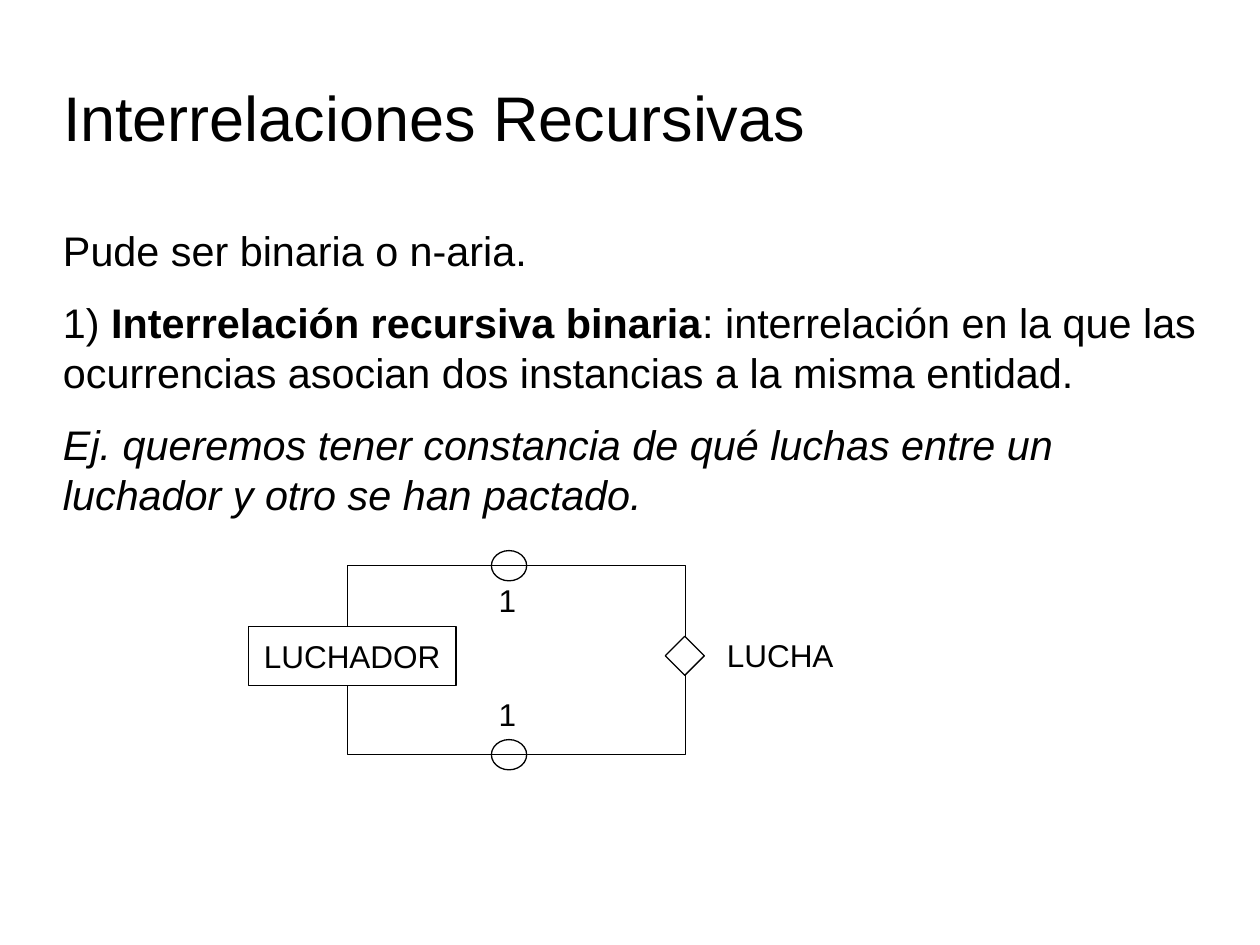
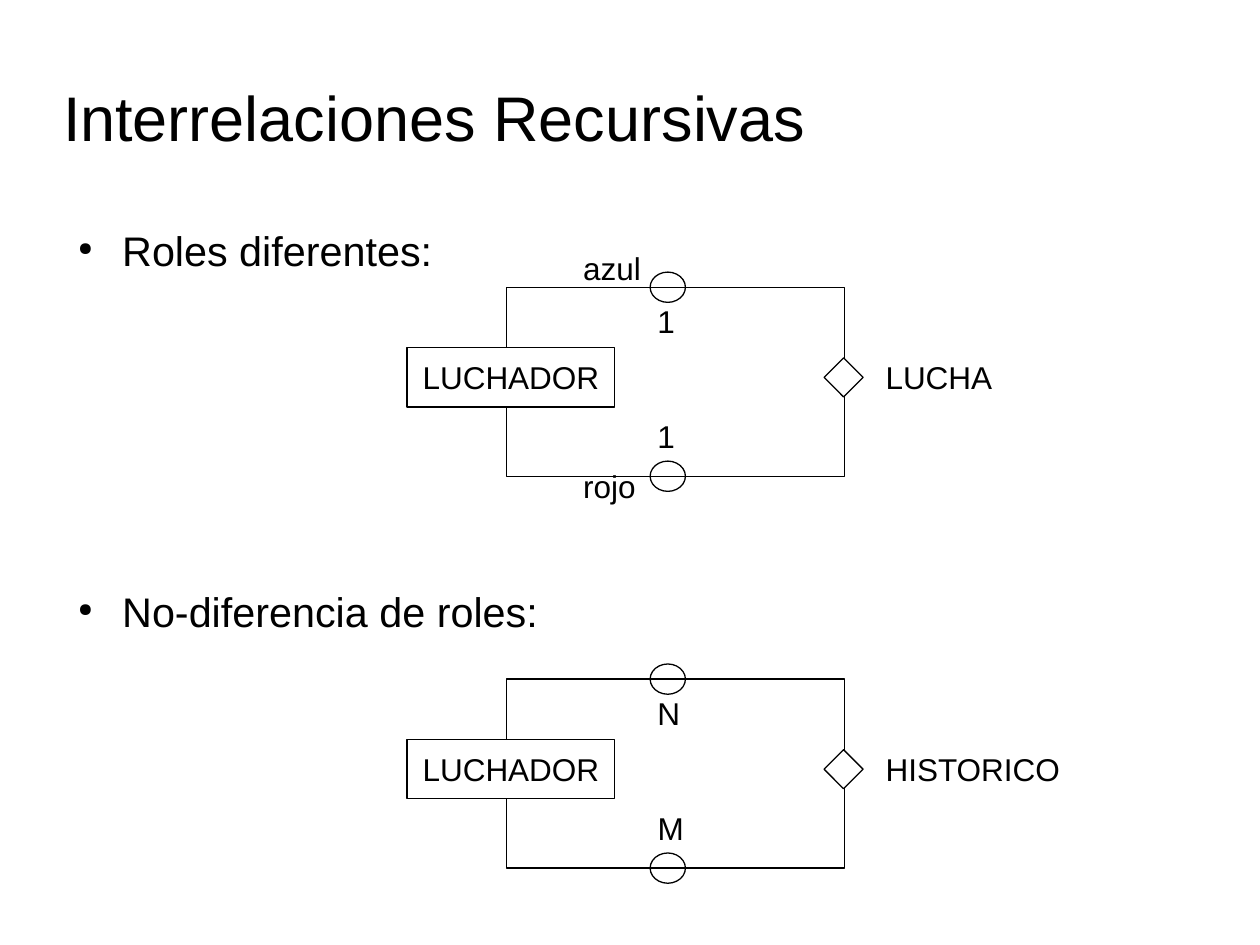
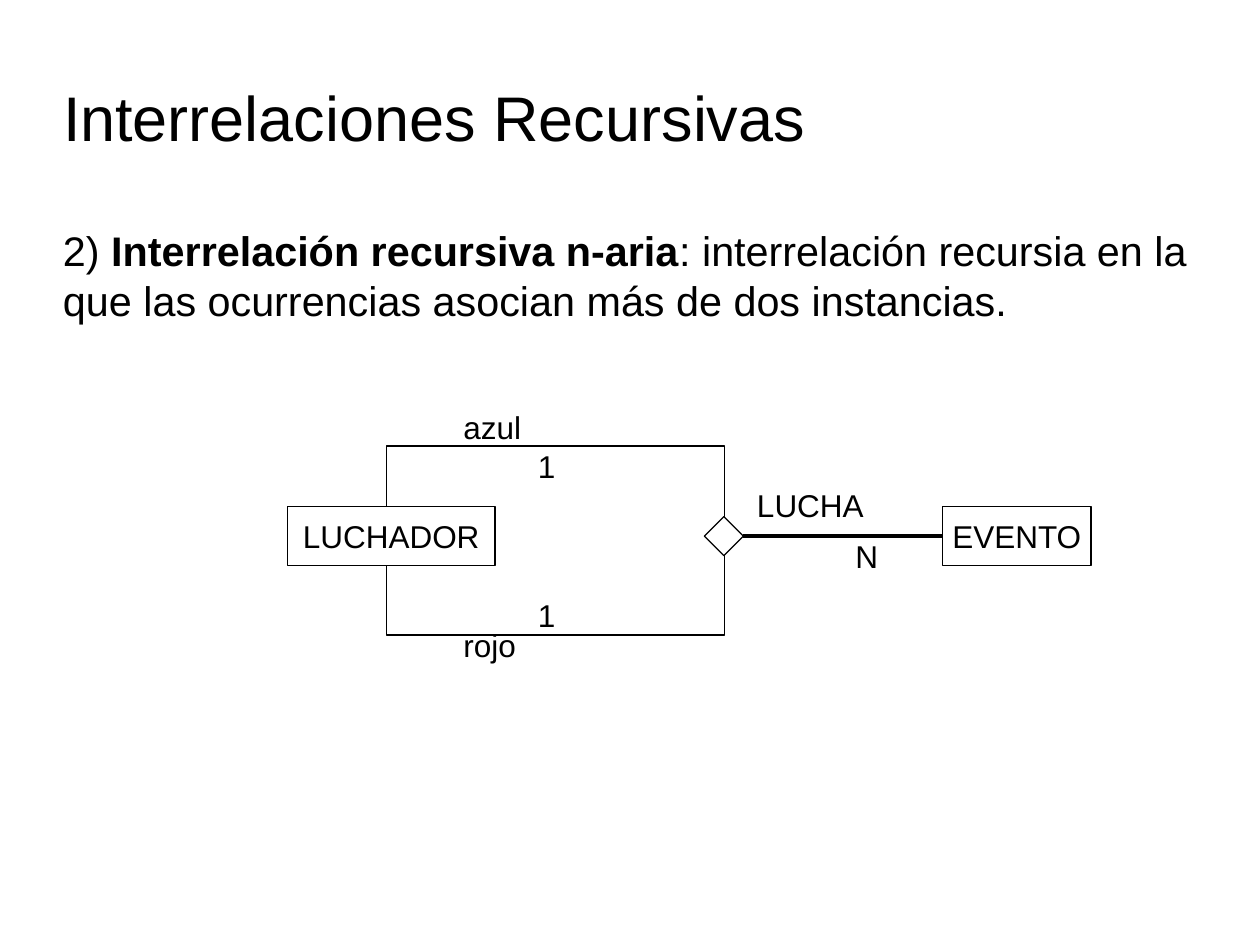
from dataclasses import dataclass
from typing import Any, NamedTuple

from lxml.etree import SubElement
from pptx import Presentation
from pptx.dml.color import RGBColor
from pptx.enum.shapes import MSO_CONNECTOR, MSO_SHAPE
from pptx.enum.text import MSO_ANCHOR, MSO_AUTO_SIZE, PP_ALIGN
from pptx.oxml.ns import qn
from pptx.util import Emu, Pt

SCALE = 9144  # EMU in one px, 100 px to the inch
COLORS = {"ink": "000000", "paper": "FFFFFF"}
FACE = "Arial"
TITLE = "Interrelaciones Recursivas"
WIDTHS = {"LUCHA": 107, "HISTORICO": 159, "azul": 66, "rojo": 63,
          "1": 34, "N": 40, "M": 42}
FLUSH = {f"margin_{side}": 0 for side in ("left", "top", "right", "bottom")}
BOLD = {"bold": True}


class Run(NamedTuple):
    text: str
    style: dict[str, Any] = {}


@dataclass
class Para:
    runs: list[Run]
    after: float = 12.8
    bullet: bool = False


class Tag(NamedTuple):
    text: str
    x: int
    y: int


@dataclass
class Loop:
    """A recursive relation; its tags are placed from the loop's corner."""
    x: int
    y: int
    tags: list[Tag]
    rings: bool = True


@dataclass
class Page:
    paras: list[Para]
    loops: list[Loop]
    event: bool = False


def px(num: float) -> Emu:
    return Emu(round(num * SCALE))


def ink(name: str) -> RGBColor:
    return RGBColor.from_string(COLORS[name])


def put(obj: Any, vals: dict[str, Any]) -> None:
    for key, val in vals.items():
        setattr(obj, key, val)


def place(shape: Any, x: int, y: int, w: int, h: int) -> None:
    put(shape, dict(left=px(x), top=px(y), width=px(w), height=px(h)))


def write(para: Any, text: str, size: float, **style: Any) -> None:
    run = para.add_run()
    run.text = text
    put(run.font, {"name": FACE, "size": Pt(size), **style})
    run.font.color.rgb = ink("ink")


def add_form(slide: Any, kind: MSO_SHAPE, x: int, y: int, w: int, h: int,
             solid: bool = True, text: str = "") -> Any:
    form = slide.shapes.add_shape(kind, px(x), px(y), px(w), px(h))
    form.shadow.inherit = False
    if solid:
        form.fill.solid()
        form.fill.fore_color.rgb = ink("paper")
    else:
        form.fill.background()
    form.line.color.rgb = ink("ink")
    form.line.width = Pt(0)
    if text:
        frame = form.text_frame
        put(frame, dict(word_wrap=False, vertical_anchor=MSO_ANCHOR.MIDDLE))
        frame.paragraphs[0].alignment = PP_ALIGN.CENTER
        write(frame.paragraphs[0], text, 18)
    return form


def add_tag(slide: Any, tag: Tag, x: int, y: int) -> None:
    box = slide.shapes.add_textbox(px(x + tag.x), px(y + tag.y),
                                   px(WIDTHS[tag.text]), px(40))
    put(box.text_frame, dict(word_wrap=False,
                             auto_size=MSO_AUTO_SIZE.SHAPE_TO_FIT_TEXT))
    write(box.text_frame.paragraphs[0], tag.text, 18)


def add_title(slide: Any) -> None:
    title = slide.shapes.title
    place(title, 50, 57, 714, 71)
    frame = title.text_frame
    put(frame, {**FLUSH, "vertical_anchor": MSO_ANCHOR.MIDDLE,
                "word_wrap": True, "auto_size": MSO_AUTO_SIZE.NONE})
    frame.paragraphs[0].alignment = PP_ALIGN.LEFT
    write(frame.paragraphs[0], TITLE, 36)


def add_bullet(para: Any) -> None:
    props = para._p.get_or_add_pPr()
    props.set("marL", str(px(47)))
    props.set("indent", str(px(-35)))
    color = SubElement(props, qn("a:buClr"))
    SubElement(color, qn("a:srgbClr"), val=COLORS["ink"])
    SubElement(props, qn("a:buSzPct"), val="45000")
    SubElement(props, qn("a:buChar"), char="●")


def add_body(slide: Any, paras: list[Para]) -> None:
    box = slide.shapes.add_textbox(px(50), px(179), px(900), px(435))
    frame = box.text_frame
    put(frame, {**FLUSH, "word_wrap": True})
    for num, item in enumerate(paras):
        para = frame.add_paragraph() if num else frame.paragraphs[0]
        para.space_after = Pt(item.after)
        if item.bullet:
            add_bullet(para)
        for run in item.runs:
            write(para, run.text, 23.6, **run.style)


def add_loop(slide: Any, loop: Loop) -> Any:
    """Draw the loop and return its diamond."""
    x, y = loop.x, loop.y
    add_form(slide, MSO_SHAPE.RECTANGLE, x, y, 268, 150, solid=False)
    add_form(slide, MSO_SHAPE.RECTANGLE, x - 79, y + 48, 165, 47,
             text="LUCHADOR")
    gem = add_form(slide, MSO_SHAPE.DIAMOND, x + 252, y + 56, 31, 31)
    if loop.rings:
        for edge in (y, y + 150):
            add_form(slide, MSO_SHAPE.OVAL, x + 114, edge - 12, 28, 24,
                     solid=False)
    for tag in loop.tags:
        add_tag(slide, tag, x, y)
    return gem


def add_event(slide: Any, loop: Loop, gem: Any) -> None:
    box = add_form(slide, MSO_SHAPE.RECTANGLE, loop.x + 441, loop.y + 48,
                   118, 47, text="EVENTO")
    link = slide.shapes.add_connector(MSO_CONNECTOR.STRAIGHT, 0, 0, 0, 0)
    link.begin_connect(gem, 3)
    link.end_connect(box, 1)
    link.line.color.rgb = ink("ink")
    link.line.width = Pt(0)
    SubElement(link._element.spPr, qn("a:effectLst"))


def ring_tags(name: str, top: str, low: str) -> list[Tag]:
    return [Tag(name, 291, 51), Tag(top, 110, 19 - 12), Tag(low, 110, 98)]


ROLES = [Tag("azul", 51, -35), Tag("rojo", 51, 138)]
PAGES = [
    Page([Para([Run("Pude ser binaria o n-aria.")]),
          Para([Run("1) "), Run("Interrelación recursiva binaria", BOLD),
                Run(": interrelación en la que las ocurrencias asocian dos "
                    "instancias a la misma entidad.")]),
          Para([Run("Ej. queremos tener constancia de qué luchas entre un "
                    "luchador y otro se han pactado.", {"italic": True})])],
         [Loop(276, 449, ring_tags("LUCHA", "1", "1"))]),
    Page([Para([Run("Roles diferentes:")], after=178, bullet=True),
          Para([Run("No-diferencia de roles:")], bullet=True)],
         [Loop(402, 228, ring_tags("LUCHA", "1", "1") + ROLES),
          Loop(402, 539, ring_tags("HISTORICO", "N", "M"))]),
    Page([Para([Run("2) "), Run("Interrelación recursiva n-aria", BOLD),
                Run(": interrelación recursia en la que las ocurrencias "
                    "asocian más de dos instancias.")])],
         [Loop(307, 354, [Tag("LUCHA", 284, 27), Tag("1", 110, -4),
                          Tag("1", 110, 114), Tag("N", 362, 67)] + ROLES,
               rings=False)],
         event=True),
]


def main() -> None:
    deck = Presentation()
    put(deck, dict(slide_width=px(1000), slide_height=px(750)))
    for page in PAGES:
        slide = deck.slides.add_slide(deck.slide_layouts[5])
        add_title(slide)
        add_body(slide, page.paras)
        for loop in page.loops:
            gem = add_loop(slide, loop)
            if page.event:
                add_event(slide, loop, gem)
    deck.save("out.pptx")


if __name__ == "__main__":
    main()
